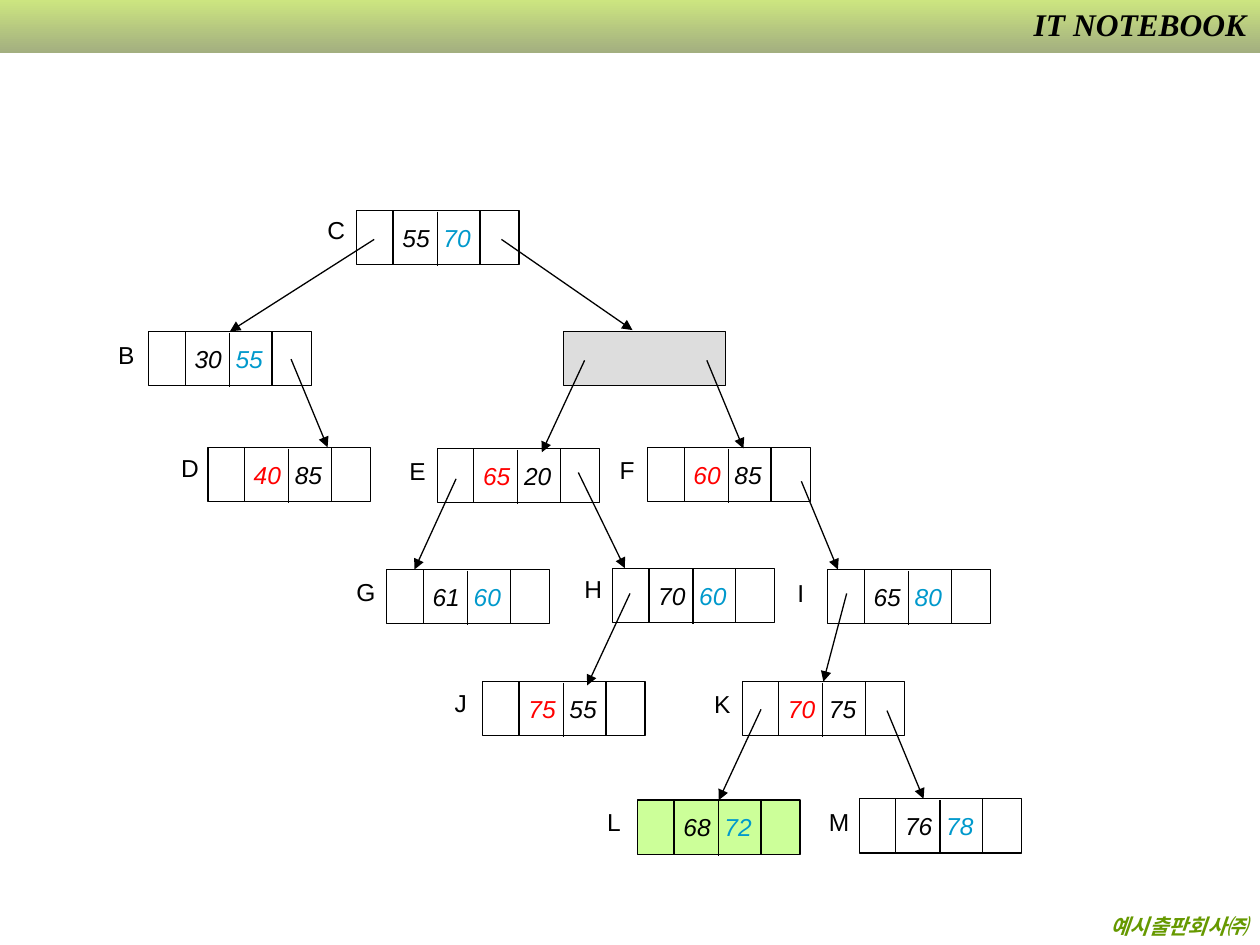
from lxml.etree import SubElement
from pptx import Presentation
from pptx.dml.color import RGBColor
from pptx.enum.shapes import MSO_CONNECTOR as Connector, MSO_SHAPE as Shape
from pptx.enum.text import MSO_ANCHOR as Anchor, PP_ALIGN as Align
from pptx.oxml.ns import qn
from pptx.util import Inches, Pt

BLACK = RGBColor(0x00, 0x00, 0x00)
WHITE = RGBColor(0xFF, 0xFF, 0xFF)
RED = RGBColor(0xFF, 0x00, 0x00)
BLUE = RGBColor(0x00, 0x99, 0xCC)
GRAY = RGBColor(0xDD, 0xDD, 0xDD)
LIME = RGBColor(0xCC, 0xFF, 0x99)
LEAF = RGBColor(0x66, 0x99, 0x00)
BAND_TOP = RGBColor(0xCC, 0xE5, 0x80)
BAND_BOTTOM = RGBColor(0xA3, 0xAF, 0x80)

# A node is an outline with a key cell in it, split by a divider
NODE_W, NODE_H = 1.29, 0.43
CELL_X, CELL_W = 0.29, 0.69
DIVIDER_X = 0.64

# name: (left, top, label left, label top, key, priority, key colour, priority colour)
NODES = {
    "C": (2.83, 1.67, 2.50, 1.66, "55", "70", BLACK, BLUE),
    "B": (1.18, 2.63, 0.84, 2.65, "30", "55", BLACK, BLUE),
    "D": (1.65, 3.55, 1.34, 3.55, "40", "85", RED, BLACK),
    "E": (3.47, 3.56, 3.15, 3.57, "65", "20", RED, BLACK),
    "F": (5.14, 3.55, 4.82, 3.56, "60", "85", RED, BLACK),
    "G": (3.07, 4.52, 2.73, 4.53, "61", "60", BLACK, BLUE),
    "H": (4.86, 4.51, 4.54, 4.51, "70", "60", BLACK, BLUE),
    "I": (6.57, 4.52, 6.23, 4.54, "65", "80", BLACK, BLUE),
    "J": (3.83, 5.41, 3.51, 5.41, "75", "55", RED, BLACK),
    "K": (5.89, 5.41, 5.57, 5.42, "70", "75", RED, BLACK),
    "L": (5.06, 6.35, 4.72, 6.36, "68", "72", BLACK, BLUE),
    "M": (6.82, 6.34, 6.48, 6.36, "76", "78", BLACK, BLUE),
}

# start, end
ARROWS = [
    ((3.98, 1.90), (5.02, 2.62)),
    ((2.31, 2.85), (2.60, 3.55)),
    ((4.64, 2.86), (4.30, 3.59)),
    ((5.61, 2.86), (5.90, 3.56)),
    ((3.62, 3.80), (3.29, 4.52)),
    ((4.59, 3.75), (4.96, 4.51)),
    ((6.36, 3.82), (6.65, 4.52)),
    ((5.00, 4.71), (4.66, 5.44)),
    ((7.04, 5.64), (7.33, 6.34)),
]

# start, node whose top middle is reached
JOINED_ARROWS = [
    ((2.97, 1.90), "B"),
    ((6.72, 4.71), "K"),
    ((6.04, 5.63), "L"),
]


class TreePage:
    """Draws the parts of a tree diagram on one page."""

    font_name = "Arial"
    banner_font = "Times New Roman"
    font_size = Pt(14)
    line_width = Pt(0.75)

    def __init__(self, page):
        self.page = page

    def rect(self, left, top, width, height, fill=None):
        box = self.page.shapes.add_shape(
            Shape.RECTANGLE, Inches(left), Inches(top), Inches(width), Inches(height))
        box.shadow.inherit = False
        box.line.color.rgb = BLACK
        box.line.width = self.line_width
        if fill is None:
            box.fill.background()
        else:
            box.fill.solid()
            box.fill.fore_color.rgb = fill
        return box

    def band(self, height):
        box = self.rect(0, 0, 10, height)
        box.line.fill.background()
        box.fill.gradient()
        box.fill.gradient_angle = 270
        for stop, color in zip(box.fill.gradient_stops, (BAND_TOP, BAND_BOTTOM)):
            stop.color.rgb = color

    def text(self, words, left, top, width, height):
        box = self.page.shapes.add_textbox(
            Inches(left), Inches(top), Inches(width), Inches(height))
        frame = box.text_frame
        frame.word_wrap = True
        frame.text = words
        span = frame.paragraphs[0].runs[0]
        self.style(span, BLACK)
        return box, span

    def style(self, span, color):
        span.font.name = self.font_name
        span.font.size = self.font_size
        span.font.color.rgb = color

    def banner(self, words, left, top, width, height, size, color):
        box, span = self.text(words, left, top, width, height)
        box.text_frame.paragraphs[0].alignment = Align.RIGHT
        span.font.name = self.banner_font
        span.font.size = Pt(size)
        span.font.bold = span.font.italic = True
        span.font.color.rgb = color
        return span

    def text_shadow(self, span, color):
        fill = span.font._element.find(qn("a:solidFill"))
        effects = SubElement(span.font._element, qn("a:effectLst"))
        shadow = SubElement(effects, qn("a:outerShdw"), dist="25400", dir="2700000")
        SubElement(shadow, qn("a:srgbClr"), val=str(color))
        fill.addnext(effects)

    def label(self, name, left, top):
        box, _ = self.text(name, left, top, 0.36, 0.34)
        box.text_frame.margin_right = 0

    def line(self, start, end, arrow=False):
        line = self.page.shapes.add_connector(
            Connector.STRAIGHT, *(Inches(value) for value in (*start, *end)))
        line.line.color.rgb = BLACK
        line.line.width = self.line_width
        if arrow:
            SubElement(line.line._get_or_add_ln(), qn("a:tailEnd"), type="triangle")
        SubElement(line._element.spPr, qn("a:effectLst"))
        return line

    def node(self, left, top, key, priority, key_color, priority_color, fill=None):
        outline = self.rect(left, top, NODE_W, NODE_H, fill)
        cell = self.rect(left + CELL_X, top, CELL_W, NODE_H, fill)
        frame = cell.text_frame
        frame.word_wrap = False
        frame.vertical_anchor = Anchor.MIDDLE
        para = frame.paragraphs[0]
        para.alignment = Align.CENTER
        parts = ((key, key_color), (" ", key_color), (priority, priority_color))
        for words, color in parts:
            span = para.add_run()
            span.text = words
            self.style(span, color)
            span.font.italic = True
        # Widen the gap so that the divider fits between the numbers
        para.runs[1].font._element.set("spc", "390")
        middle = left + DIVIDER_X
        self.line((middle, top + 0.01), (middle, top + 0.44))
        return outline


def main():
    deck = Presentation()
    deck.slide_width, deck.slide_height = Inches(10), Inches(7.5)
    tree = TreePage(deck.slides.add_slide(deck.slide_layouts[6]))

    # Header and footer
    tree.band(0.42)
    tree.banner("예시출판회사㈜", 0.06, 7.2, 9.94, 0.3, 12, LEAF)
    series = tree.banner("IT NOTEBOOK", 7.6, -0.01, 2.39, 0.4, 18, BLACK)
    tree.text_shadow(series, WHITE)

    # Nodes with their labels; the gray one is empty
    tree.rect(4.47, 2.63, NODE_W, NODE_H, GRAY)
    outlines = {}
    for name, (left, top, label_left, label_top, *content) in NODES.items():
        fill = LIME if name == "L" else None
        outlines[name] = tree.node(left, top, *content, fill=fill)
        tree.label(name, label_left, label_top)

    # Links from parents to children
    for start, end in ARROWS:
        tree.line(start, end, arrow=True)
    for start, name in JOINED_ARROWS:
        tree.line(start, start, arrow=True).end_connect(outlines[name], 0)

    deck.save("out.pptx")


if __name__ == "__main__":
    main()
